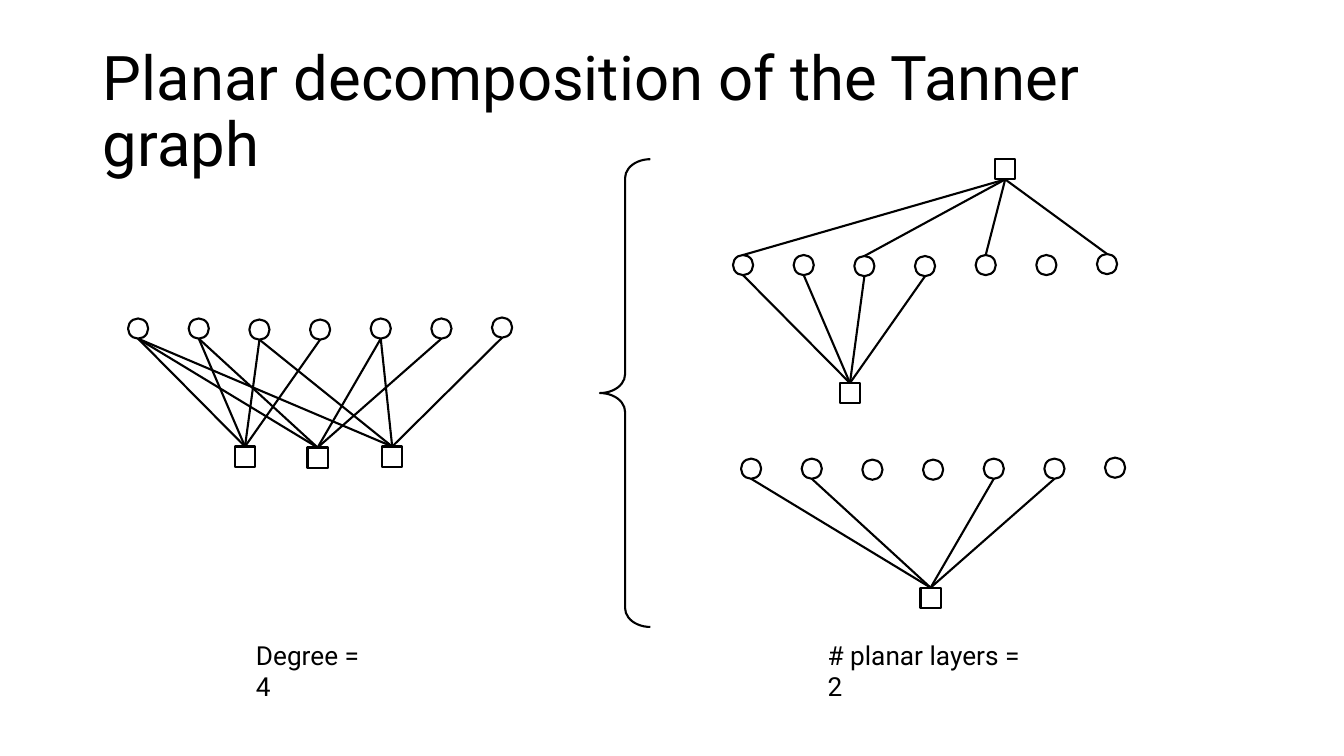
"""Build a slide on the planar decomposition of a Tanner graph."""
from lxml import etree
from pptx import Presentation
from pptx.dml.color import RGBColor
from pptx.enum import shapes, text
from pptx.oxml.ns import qn
from pptx.util import Inches, Pt

BLACK, WHITE, FONT = "000000", "FFFFFF", "Roboto"
NODE, ROW_WIDTH = 0.2, 3.81
BIT_OFFSETS = [0.01, 0.01, 0.02, 0.02, 0.01, 0.01, 0]
BIT_STEP = (ROW_WIDTH - NODE) / (len(BIT_OFFSETS) - 1)
CHECK_LEFT = (1.06, 1.28, (0, 1, 2, 3))
CHECK_MIDDLE = (1.78, 1.29, (0, 1, 4, 5))
CHECK_RIGHT = (2.52, 1.28, (0, 2, 4, 6))
CHECK_ABOVE = (2.6, -0.94, (0, 2, 4, 6))


def color(value):
    """Return the colour of a hex string."""
    return RGBColor.from_string(value)


def outline(shape):
    """Give a shape or connector the thin black line."""
    shape.line.color.rgb = color(BLACK)
    shape.line.width = Pt(1.5)


def style_text(paragraph, size):
    """Format a left-aligned paragraph in the slide's font."""
    paragraph.alignment = text.PP_ALIGN.LEFT
    paragraph.font.name = FONT
    paragraph.font.size = Pt(size)
    paragraph.font.color.rgb = color(BLACK)


def add_node(graph, kind, left, top):
    """Add one white graph node."""
    node = graph.shapes.add_shape(kind, Inches(left), Inches(top), Inches(NODE), Inches(NODE))
    node.shadow.inherit = False
    node.fill.solid()
    node.fill.fore_color.rgb = color(WHITE)
    outline(node)
    return node


def add_edge(graph, check, bit, above):
    """Join a check square to the facing side of a bit circle."""
    check_y = check.top + check.height if above else check.top
    bit_y = bit.top if above else bit.top + bit.height
    edge = graph.shapes.add_connector(
        shapes.MSO_CONNECTOR.STRAIGHT,
        check.left + check.width // 2, check_y, bit.left + bit.width // 2, bit_y)
    edge.begin_connect(check, 2 if above else 0)
    outline(edge)
    etree.SubElement(edge.line._get_or_add_ln().getparent(), qn("a:effectLst"))


def add_graph(slide, left, top, checks):
    """Draw a row of bits and the checks joined to them."""
    graph = slide.shapes.add_group_shape()
    bits = [add_node(graph, shapes.MSO_SHAPE.OVAL, left + i * BIT_STEP, top + offset)
            for i, offset in enumerate(BIT_OFFSETS)]
    for x, y, neighbours in checks:
        check = add_node(graph, shapes.MSO_SHAPE.RECTANGLE, left + x, top + y)
        for i in neighbours:
            add_edge(graph, check, bits[i], above=y < 0)


def add_brace(slide, left, top, width, height):
    """Draw the brace that opens the decomposition."""
    brace = slide.shapes.add_shape(
        shapes.MSO_SHAPE.LEFT_BRACE, Inches(left), Inches(top), Inches(width), Inches(height))
    brace.shadow.inherit = False
    brace.adjustments[0] = 0.374
    brace.fill.background()
    outline(brace)


def add_caption(slide, left, top, width, height, wording):
    """Add a caption below a graph."""
    frame = slide.shapes.add_textbox(
        Inches(left), Inches(top), Inches(width), Inches(height)).text_frame
    frame.word_wrap = True
    frame.auto_size = text.MSO_AUTO_SIZE.SHAPE_TO_FIT_TEXT
    frame.text = wording
    style_text(frame.paragraphs[0], 18.7)


def set_title(slide, left, top, width, height, wording):
    """Place and format the title."""
    title = slide.shapes.title
    title.left, title.top = Inches(left), Inches(top)
    title.width, title.height = Inches(width), Inches(height)
    frame = title.text_frame
    frame.text = wording
    frame.auto_size = text.MSO_AUTO_SIZE.NONE
    frame.vertical_anchor = text.MSO_ANCHOR.MIDDLE
    frame.paragraphs[0].line_spacing = 0.9
    style_text(frame.paragraphs[0], 44)


def main():
    """Build and save the slide."""
    deck = Presentation()
    deck.slide_width, deck.slide_height = Inches(13.33), Inches(7.5)
    slide = deck.slides.add_slide(deck.slide_layouts[5])
    set_title(slide, 0.92, 0.4, 11.5, 1.45, "Planar decomposition of the Tanner graph")
    add_graph(slide, 1.27, 3.15, [CHECK_LEFT, CHECK_MIDDLE, CHECK_RIGHT])
    add_graph(slide, 7.27, 2.52, [CHECK_ABOVE, CHECK_LEFT])
    add_graph(slide, 7.35, 4.54, [CHECK_MIDDLE])
    add_brace(slide, 5.95, 1.58, 0.5, 4.64)
    add_caption(slide, 2.44, 6.29, 1.39, 0.42, "Degree = 4")
    add_caption(slide, 8.11, 6.29, 2.23, 0.42, "# planar layers = 2")
    deck.save("out.pptx")


if __name__ == "__main__":
    main()
